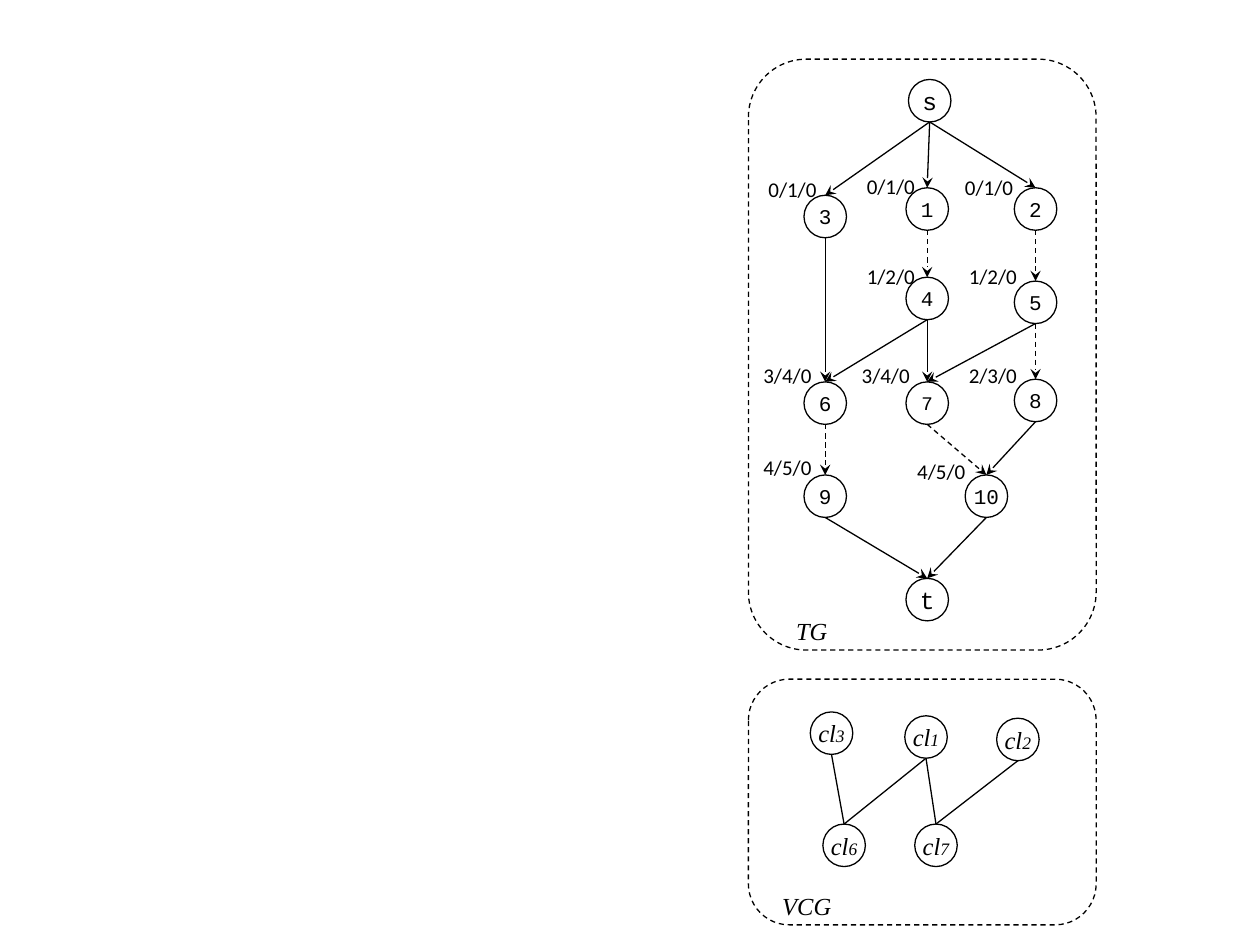
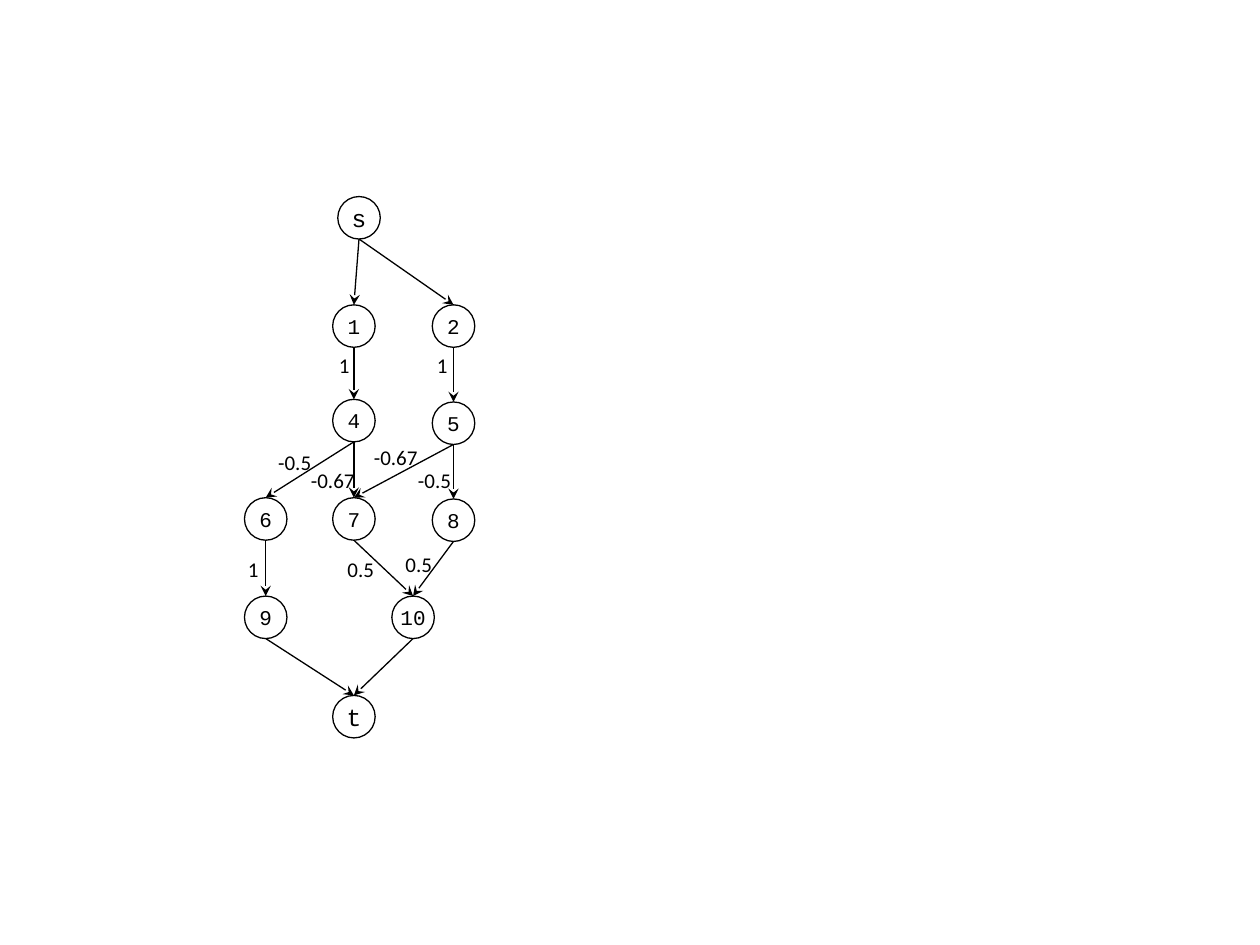
from lxml import etree
from pptx import Presentation
from pptx.dml.color import RGBColor
from pptx.enum.dml import MSO_LINE
from pptx.enum.shapes import MSO_CONNECTOR, MSO_SHAPE
from pptx.enum.text import MSO_ANCHOR, MSO_AUTO_SIZE, PP_ALIGN
from pptx.oxml.ns import qn
from pptx.util import Pt

OVAL = MSO_SHAPE.OVAL
ROUND = MSO_SHAPE.ROUNDED_RECTANGLE
STRAIGHT = MSO_CONNECTOR.STRAIGHT
DASH = MSO_LINE.DASH
MIDDLE = MSO_ANCHOR.MIDDLE
CENTER = PP_ALIGN.CENTER
LEFT = PP_ALIGN.LEFT
GROW = MSO_AUTO_SIZE.SHAPE_TO_FIT_TEXT

INK = "000000"
SANS = "Calibri"
MONO = "Courier New"
SERIF = "Times New Roman"
SIZE = 24.3
BLANK = 6

TASKS = {
    "s": (519.1, 45.4), "1": (517.7, 107.3), "2": (579.6, 107.3),
    "3": (459.4, 111.6), "4": (517.7, 158.4), "5": (579.6, 160.6),
    "6": (459.4, 218.2), "7": (517.7, 218.2), "8": (579.6, 216.7),
    "9": (459.4, 271.4), "10": (551.5, 271.4), "t": (517.7, 330.5),
}
SOLID = "s-3 s-1 s-2 3-6 4-6 4-7 5-7 8-10 9-t 10-t"
DASHED = "1-4 2-5 5-8 6-9 7-10"
TIMES = [
    ("0/1/0", 432, 97.2), ("0/1/0", 488.2, 95.8), ("0/1/0", 544.3, 96.5),
    ("1/2/0", 488.2, 146.9), ("1/2/0", 546.5, 146.9),
    ("3/4/0", 429.1, 203.8), ("3/4/0", 485.3, 203.8), ("2/3/0", 546.5, 203.8),
    ("4/5/0", 429.1, 256.3), ("4/5/0", 517, 258.5),
]
CLAIMS = {
    "1": (517, 409), "2": (569.5, 410.4), "3": (463, 406.8),
    "6": (470.2, 470.9), "7": (522.7, 470.9),
}
CLASHES = "3-6 1-6 1-7 2-7"
FRAMES = [
    ("TG", 33.8, 337.7, 447.8, 348.5, 32.4),
    ("VCG", 388.1, 140.4, 439.9, 505.4, 42.5),
]

STEPS = {
    "s": (193, 112.3), "1": (190.1, 174.2), "2": (247, 174.2),
    "4": (190.1, 228.2), "5": (247, 229.7), "6": (139.7, 284.4),
    "7": (190.1, 284.4), "8": (247, 285.1), "9": (139.7, 340.6),
    "10": (223.9, 340.6), "t": (190.1, 397.4),
}
FLOWS = "s-1 s-2 1-4 2-5 4-6 4-7 5-7 5-8 6-9 7-10 8-10 9-t 10-t"
WEIGHTS = [
    ("1", 186.5, 198, 20.9), ("1", 242.6, 198, 20.9),
    ("-0.5", 151.9, 253.4, 38.2), ("-0.67", 170.6, 263.5, 43.9),
    ("-0.67", 206.6, 250.6, 41), ("-0.5", 231.8, 263.5, 33.8),
    ("1", 134.6, 314.6, 16.6), ("0.5", 191.5, 314.6, 31.7),
    ("0.5", 224.6, 311.8, 31.7),
]


def color(code):
    return RGBColor.from_string(code)


def write(shape, runs, font=SANS, italic=False, align=LEFT, wrap=False):
    frame = shape.text_frame
    frame.word_wrap = wrap
    para = frame.paragraphs[0]
    para.alignment = align
    for text, size in runs:
        run = para.add_run()
        run.text = text
        run.font.name = font
        run.font.size = Pt(size)
        run.font.italic = italic
        run.font.color.rgb = color(INK)


def stroke(line, dash=False):
    line.color.rgb = color(INK)
    line.width = Pt(0.75)
    if dash:
        line.dash_style = DASH


def outline(slide, kind, x, y, w, h, dash=False):
    shape = slide.shapes.add_shape(kind, Pt(x), Pt(y), Pt(w), Pt(h))
    shape.shadow.inherit = False
    shape.fill.background()
    stroke(shape.line, dash)
    return shape


def node(slide, spot, runs, **style):
    shape = outline(slide, OVAL, *spot, SIZE, SIZE)
    shape.text_frame.vertical_anchor = MIDDLE
    write(shape, runs, align=CENTER, **style)


def nodes(slide, spots, sizes):
    for name, spot in spots.items():
        node(slide, spot, [(name, sizes.get(name, 12))], font=MONO)


def edges(slide, spots, pairs, dash=False, arrow=True):
    for pair in pairs.split():
        (ax, ay), (bx, by) = (spots[name] for name in pair.split("-"))
        half = SIZE / 2
        line = slide.shapes.add_connector(
            STRAIGHT, Pt(ax + half), Pt(ay + SIZE), Pt(bx + half), Pt(by))
        stroke(line.line, dash)
        if arrow:
            tail = etree.SubElement(line.line._get_or_add_ln(), qn("a:tailEnd"))
            tail.set("type", "stealth")
        etree.SubElement(line._element.spPr, qn("a:effectLst"))


def label(slide, text, x, y, w, h=21.6, size=12, **style):
    box = slide.shapes.add_textbox(Pt(x), Pt(y), Pt(w), Pt(h))
    write(box, [(text, size)], **style)
    box.text_frame.auto_size = GROW


def graphs(slide):
    nodes(slide, TASKS, {"s": 14, "t": 14, "7": 11})
    edges(slide, TASKS, SOLID)
    edges(slide, TASKS, DASHED, dash=True)
    for text, x, y in TIMES:
        label(slide, text, x, y, 42.5)
    for name, spot in CLAIMS.items():
        node(slide, spot, [("cl", 14), (name, 10)], font=SERIF, italic=True)
    edges(slide, CLAIMS, CLASHES, arrow=False)
    for name, top, high, x, y, wide in FRAMES:
        label(slide, name, x, y, wide, 24.5, size=14, font=SERIF, italic=True)
        outline(slide, ROUND, 427.7, top, 198.7, high, dash=True)


def weights(slide):
    nodes(slide, STEPS, {"s": 14, "t": 14})
    edges(slide, STEPS, FLOWS)
    for text, x, y, wide in WEIGHTS:
        label(slide, text, x, y, wide, wrap=True)


def main():
    deck = Presentation()
    deck.slide_width = Pt(720)
    deck.slide_height = Pt(540)
    for draw in (graphs, weights):
        draw(deck.slides.add_slide(deck.slide_layouts[BLANK]))
    deck.save("out.pptx")


if __name__ == "__main__":
    main()
